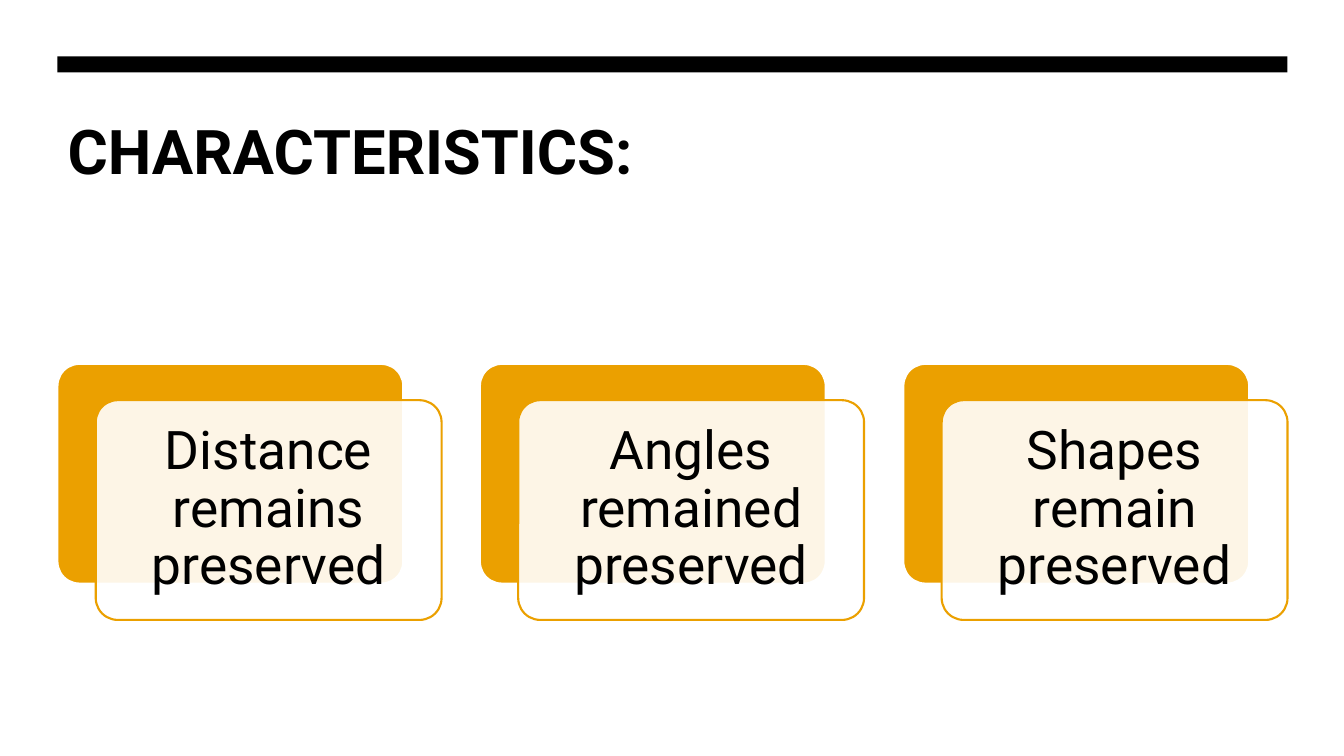
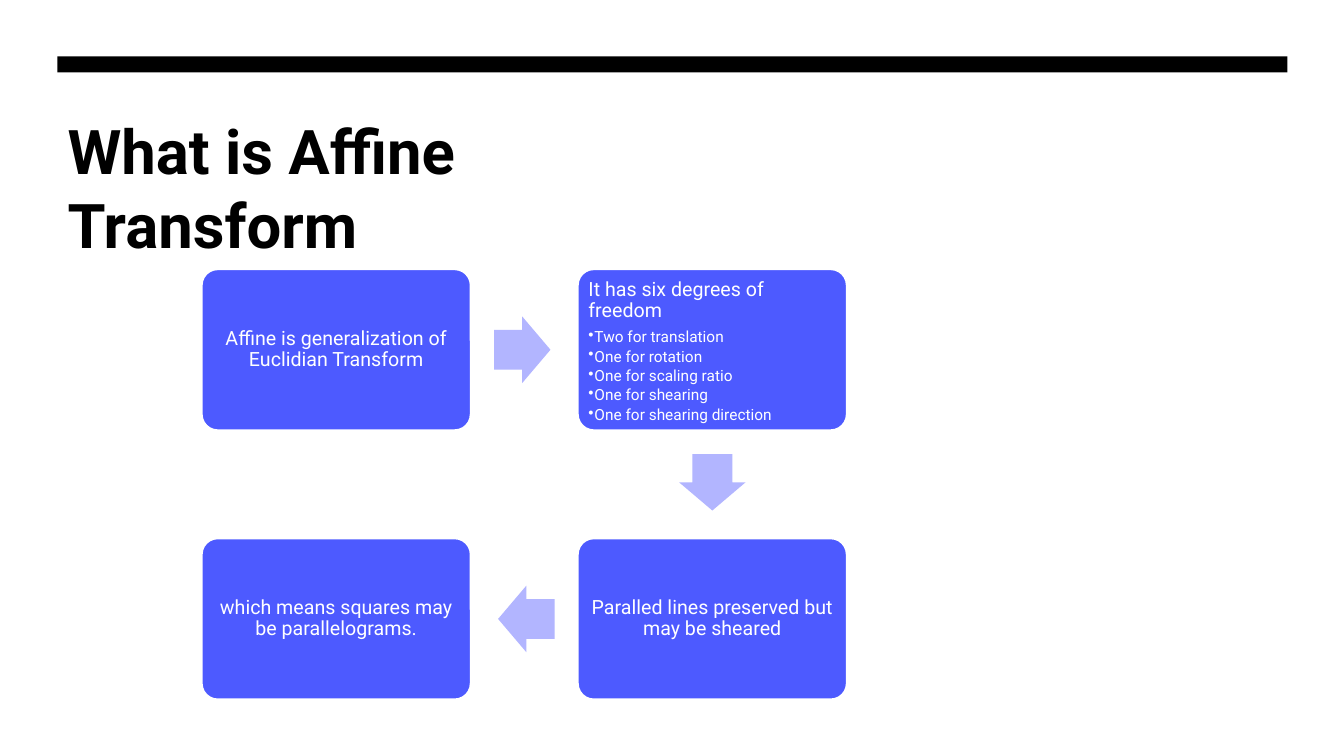
from dataclasses import dataclass

from lxml import etree
from pptx import Presentation
from pptx import util as u
from pptx.dml.color import RGBColor
from pptx.enum import shapes, text
from pptx.oxml import ns

EMU_PER_PX = 9144  # 100 px to the inch


@dataclass(frozen=True)
class Theme:
    font: str = "Roboto"
    ink: str = "000000"
    paper: str = "FFFFFF"
    amber: str = "EBA000"
    blue: str = "4D5AFF"
    pale_blue: str = "B2B5FF"
    title_size: int = 44
    card_size: int = 38
    step_size: int = 14
    detail_size: int = 11
    outline: float = 1.5
    corner: float = 0.1
    line_spacing: float = 0.9


THEME = Theme()
SHAPE = shapes.MSO_SHAPE
ALIGN = text.PP_ALIGN
ANCHOR = text.MSO_ANCHOR

# Shared page frame
LEFT, CONTENT_WIDTH = 57, 1220

# Characteristics cards
CARD_WIDTH, CARD_HEIGHT, CARD_TOP = 343, 218, 361
CARD_SHIFT_X, CARD_SHIFT_Y = 38, 36
CHARACTERISTICS = [
    "Distance remains preserved",
    "Angles remained preserved",
    "Shapes remain preserved",
]

# Affine process: column, row, heading and details of each step
STEP_WIDTH, STEP_HEIGHT = 267, 160
STEP_LEFT, STEP_TOP = 200, 267
STEP_PITCH_X, STEP_PITCH_Y = 373, 267
ARROW_LENGTH, ARROW_BREADTH, ARROW_SETBACK = 56, 66, 2
STEPS = [
    (0, 0, "Affine is generalization of Euclidian Transform", []),
    (1, 0, "It has six degrees of freedom", [
        "Two for translation",
        "One for rotation",
        "One for scaling ratio",
        "One for shearing",
        "One for shearing direction",
    ]),
    (1, 1, "Paralled lines preserved but may be sheared", []),
    (0, 1, "which means squares may be parallelograms.", []),
]
ARROW_ROTATION = {(1, 0): 0, (0, 1): 90, (-1, 0): 180}


def px(*lengths):
    return [u.Emu(round(length * EMU_PER_PX)) for length in lengths]


def rgb(colour):
    return RGBColor.from_string(colour)


def add_block(slide, preset, box, fill, outline=None):
    block = slide.shapes.add_shape(preset, *px(*box))
    block.shadow.inherit = False
    block.fill.solid()
    block.fill.fore_color.rgb = rgb(fill)
    if outline:
        block.line.color.rgb = rgb(outline)
        block.line.width = u.Pt(THEME.outline)
    else:
        block.line.fill.background()
    return block


def add_rounded(slide, box, fill, outline):
    panel = add_block(slide, SHAPE.ROUNDED_RECTANGLE, box, fill, outline)
    panel.adjustments[0] = THEME.corner
    return panel


def set_opacity(block, percent):
    colour = block.fill._xPr.find(".//" + ns.qn("a:srgbClr"))
    etree.SubElement(colour, ns.qn("a:alpha"), val=str(percent * 1000))


def format_runs(paragraph, size, colour, bold=False):
    for run in paragraph.runs:
        run.font.name = THEME.font
        run.font.size = u.Pt(size)
        run.font.bold = bold
        run.font.color.rgb = rgb(colour)


def prepare_frame(panel, inset, anchor=ANCHOR.MIDDLE):
    frame = panel.text_frame
    frame.word_wrap = True
    frame.vertical_anchor = anchor
    frame.margin_left, frame.margin_top, frame.margin_right, frame.margin_bottom = px(*[inset] * 4)
    return frame


def write_paragraph(paragraph, wording, size, colour, align=ALIGN.CENTER, after=0):
    paragraph.text = wording
    paragraph.alignment = align
    paragraph.line_spacing = THEME.line_spacing
    paragraph.space_after = u.Pt(after)
    format_runs(paragraph, size, colour)


def add_bullet(paragraph, indent):
    properties = paragraph._p.get_or_add_pPr()
    width = px(indent)[0]
    properties.set("marL", str(width))
    properties.set("indent", str(-width))
    etree.SubElement(properties, ns.qn("a:buChar"), char="•")


def add_titled_slide(deck, heading, title_width):
    slide = deck.slides.add_slide(deck.slide_layouts[5])
    title = slide.shapes.title
    title.left, title.top, title.width, title.height = px(LEFT, 107, title_width, 160)
    frame = title.text_frame
    frame.text = heading
    frame.word_wrap = True
    frame.auto_size = text.MSO_AUTO_SIZE.NONE
    frame.vertical_anchor = ANCHOR.TOP
    frame.paragraphs[0].alignment = ALIGN.LEFT
    format_runs(frame.paragraphs[0], THEME.title_size, THEME.ink, bold=True)
    # Top band
    add_block(slide, SHAPE.RECTANGLE, (LEFT, 56, CONTENT_WIDTH, 16), THEME.ink)
    return slide


def add_card(slide, left, wording):
    add_rounded(slide, (left, CARD_TOP, CARD_WIDTH, CARD_HEIGHT), THEME.amber, THEME.paper)
    front = add_rounded(
        slide,
        (left + CARD_SHIFT_X, CARD_TOP + CARD_SHIFT_Y, CARD_WIDTH, CARD_HEIGHT),
        THEME.paper, THEME.amber)
    set_opacity(front, 90)
    frame = prepare_frame(front, 16)
    write_paragraph(frame.paragraphs[0], wording, THEME.card_size, THEME.ink)


def add_step(slide, column, row, heading, details):
    box = (STEP_LEFT + column * STEP_PITCH_X, STEP_TOP + row * STEP_PITCH_Y,
           STEP_WIDTH, STEP_HEIGHT)
    step = add_rounded(slide, box, THEME.blue, THEME.paper)
    frame = prepare_frame(step, 6, ANCHOR.TOP if details else ANCHOR.MIDDLE)
    write_paragraph(frame.paragraphs[0], heading, THEME.step_size, THEME.paper,
                    ALIGN.LEFT if details else ALIGN.CENTER, after=5 if details else 0)
    for detail in details:
        item = frame.add_paragraph()
        write_paragraph(item, detail, THEME.detail_size, THEME.paper, ALIGN.LEFT, after=2)
        item.level = 1
        add_bullet(item, 6)


def add_step_arrow(slide, start, end):
    """Place an arrow in the gap between two neighbouring grid cells."""
    across, down = end[0] - start[0], end[1] - start[1]
    center_x = (STEP_LEFT + STEP_WIDTH / 2 + (start[0] + end[0]) / 2 * STEP_PITCH_X
                - across * ARROW_SETBACK)
    center_y = (STEP_TOP + STEP_HEIGHT / 2 + (start[1] + end[1]) / 2 * STEP_PITCH_Y
                - down * ARROW_SETBACK)
    box = (center_x - ARROW_LENGTH / 2, center_y - ARROW_BREADTH / 2,
           ARROW_LENGTH, ARROW_BREADTH)
    arrow = add_block(slide, SHAPE.RIGHT_ARROW, box, THEME.pale_blue)
    arrow.adjustments[0], arrow.adjustments[1] = 0.6, 0.5
    arrow.rotation = ARROW_ROTATION[across, down]


def build_characteristics(deck):
    slide = add_titled_slide(deck, "CHARACTERISTICS:", CONTENT_WIDTH)
    travel = CONTENT_WIDTH - CARD_WIDTH - CARD_SHIFT_X
    for index, wording in enumerate(CHARACTERISTICS):
        left = LEFT + travel * index // (len(CHARACTERISTICS) - 1)
        add_card(slide, left, wording)


def build_affine(deck):
    slide = add_titled_slide(deck, "What is Affine Transform", 685)
    for step in STEPS:
        add_step(slide, *step)
    for start, end in zip(STEPS, STEPS[1:]):
        add_step_arrow(slide, start[:2], end[:2])


def main():
    deck = Presentation()
    deck.slide_width, deck.slide_height = px(1333, 750)
    build_characteristics(deck)
    build_affine(deck)
    deck.save("out.pptx")


if __name__ == "__main__":
    main()
